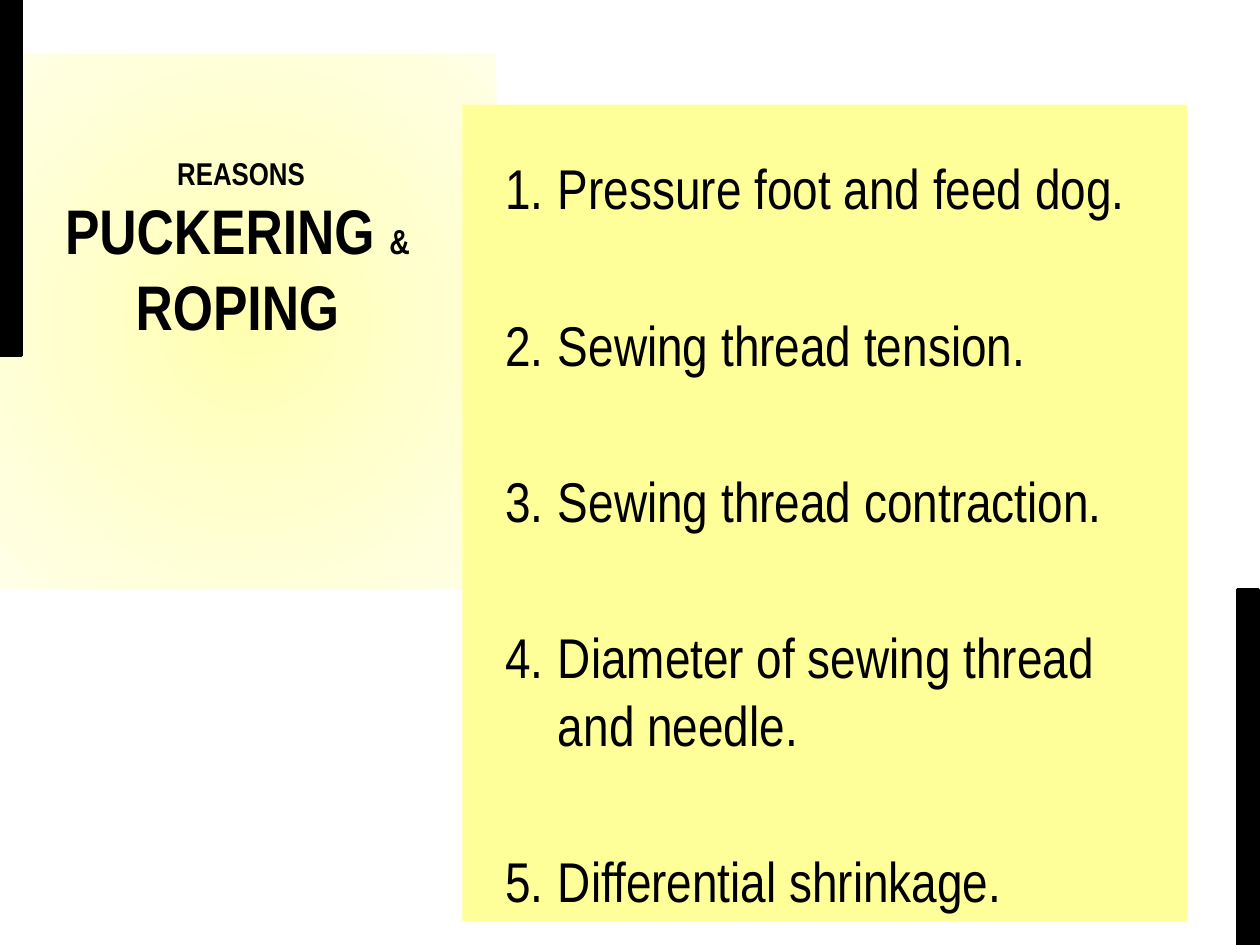
"""Builds the slide on reasons for puckering and roping."""
from pptx import Presentation
from pptx import util as u
from pptx.dml.color import RGBColor
from pptx.enum import shapes, text
from pptx.oxml import parse_xml
from pptx.oxml.ns import nsdecls, qn


def rgb(code):
    return RGBColor.from_string(code)


def put(obj, values):
    for name, value in values.items():
        setattr(obj, name, value)


class Deck:
    ink = "000000"
    font = {"name": "Arial Narrow"}
    frame = {"word_wrap": True, "auto_size": text.MSO_AUTO_SIZE.NONE}

    def __init__(self, prs):
        self.s = prs.slides.add_slide(prs.slide_layouts[6])

    def rect(self, box, fill=None, line=None):
        sp = self.s.shapes.add_shape(shapes.MSO_SHAPE.RECTANGLE, *map(u.Inches, box))
        sp.shadow.inherit = False
        if fill:
            sp.fill.solid()
            sp.fill.fore_color.rgb = rgb(fill)
        if line:
            sp.line.color.rgb = rgb(line)
            sp.line.width = u.Pt(2)
        else:
            sp.line.fill.background()
        return sp

    def glow(self, box, stops):
        sp = self.rect(box)
        gs = "".join(f'<a:gs pos="{pos * 1000}"><a:srgbClr val="{code}"/></a:gs>'
                     for pos, code in stops)
        grad = parse_xml(
            f'<a:gradFill {nsdecls("a")} rotWithShape="1"><a:gsLst>{gs}</a:gsLst>'
            '<a:path path="circle"><a:fillToRect l="50000" t="50000" r="50000" b="50000"/>'
            '</a:path></a:gradFill>')
        sp._element.spPr.find(qn("a:prstGeom")).addnext(grad)

    def text_frame(self, box, **values):
        tf = self.s.shapes.add_textbox(*map(u.Inches, box)).text_frame
        put(tf, {**self.frame, **values})
        return tf

    def run(self, p, words, size, **values):
        r = p.add_run()
        r.text = words
        put(r.font, {**self.font, "size": u.Pt(size), **values})
        r.font.color.rgb = rgb(self.ink)

    def title(self, box, runs):
        tf = self.text_frame(box, vertical_anchor=text.MSO_ANCHOR.BOTTOM)
        p = tf.paragraphs[0]
        p.alignment = text.PP_ALIGN.CENTER
        for words, size in runs:
            self.run(p, words, size, bold=True)

    def numbered(self, box, items, size, gap, indent):
        tf = self.text_frame(box)
        for i, item in enumerate(items):
            p = tf.add_paragraph() if i else tf.paragraphs[0]
            p.space_after = u.Pt(gap)
            self.run(p, item, size)
            pPr = p._p.get_or_add_pPr()
            pPr.set("marL", str(u.Inches(indent)))
            pPr.set("indent", str(-u.Inches(indent)))
            pPr.append(parse_xml(f'<a:buFont {nsdecls("a")} typeface="{self.font["name"]}"/>'))
            pPr.append(parse_xml(f'<a:buAutoNum {nsdecls("a")} type="arabicPeriod"/>'))


def main():
    prs = Presentation()
    put(prs, {"slide_width": u.Inches(10), "slide_height": u.Inches(7.5)})
    deck = Deck(prs)
    deck.glow((0, 0.43, 3.94, 4.25), [(0, "FFFFAF"), (50, "FFFFCE"), (100, "FFFFE7")])
    deck.rect((3.67, 0.83, 5.75, 6.48), "FFFF99")
    for left, top in ((0, 0), (9.82, 4.68)):
        deck.rect((left, top, 0.17, 2.82), deck.ink, deck.ink)
    deck.title((0, 1.5, 3.77, 1.27),
               [(" REASONS ", 18), ("PUCKERING ", 36), ("&", 19.8), (" ROPING", 36)])
    reasons = ["Pressure foot and feed dog.", "Sewing thread tension.",
               "Sewing thread contraction.", "Diameter of sewing thread and needle.",
               "Differential shrinkage."]
    deck.numbered((3.91, 1.17, 5.51, 5.83), reasons, size=32, gap=51, indent=0.42)
    prs.save("out.pptx")


if __name__ == "__main__":
    main()
